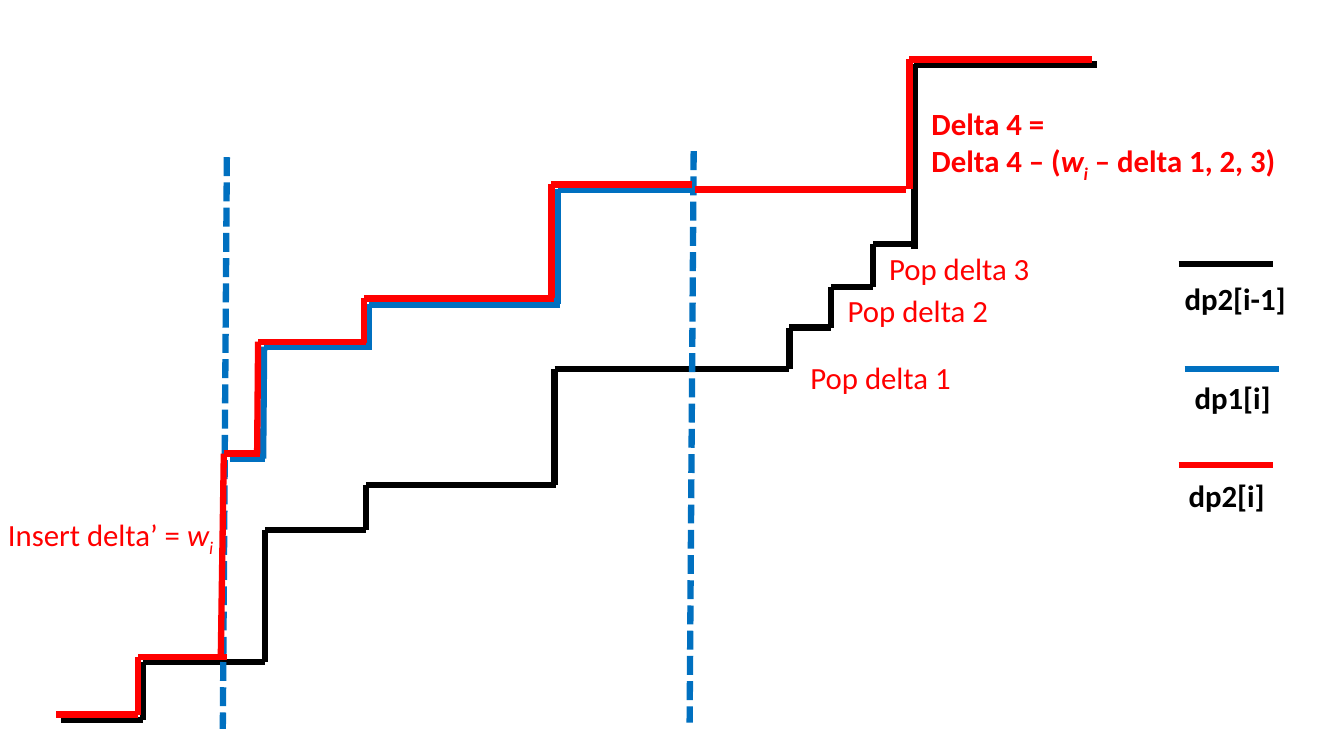
from itertools import pairwise

from lxml import etree
from pptx import Presentation
from pptx.dml.color import RGBColor
from pptx.enum import dml, shapes, text
from pptx.oxml.ns import qn
from pptx.util import Inches, Pt

BLACK = RGBColor(0x00, 0x00, 0x00)
BLUE = RGBColor(0x00, 0x70, 0xC0)
RED = RGBColor(0xFF, 0x00, 0x00)

deck = Presentation()
deck.slide_width, deck.slide_height = Inches(13.33), Inches(7.5)
page = deck.slides.add_slide(deck.slide_layouts[6])


def add_path(points, color, dashed=False):
    """Join each point to the next with a thick straight line."""
    for start, end in pairwise(points):
        line = page.shapes.add_connector(
            shapes.MSO_CONNECTOR.STRAIGHT, *map(Inches, start + end))
        line.line.color.rgb = color
        line.line.width = Pt(4.5)
        if dashed:
            line.line.dash_style = dml.MSO_LINE.SQUARE_DOT
        etree.SubElement(line._element.spPr, qn("a:effectLst"))


def add_label(left, top, width, height, lines, color, bold=False, wrap=False):
    """Place lines of (text, style) runs; style is "", "italic" or "sub"."""
    box = page.shapes.add_textbox(*map(Inches, (left, top, width, height)))
    frame = box.text_frame
    frame.word_wrap = wrap
    frame.auto_size = text.MSO_AUTO_SIZE.SHAPE_TO_FIT_TEXT
    for index, runs in enumerate(lines):
        para = frame.add_paragraph() if index else frame.paragraphs[0]
        for words, style in runs:
            span = para.add_run()
            span.text = words
            span.font.name = "Calibri"
            span.font.size = Pt(22)
            span.font.color.rgb = color
            span.font.bold = bold
            span.font.italic = style != ""
            if style == "sub":
                span._r.get_or_add_rPr().set("baseline", "-25000")


# Staircases, back to front
dp2_previous = [
    [(0.61, 7.14), (1.42, 7.14), (1.42, 6.57), (2.63, 6.57), (2.63, 5.26),
     (3.63, 5.26), (3.63, 4.81), (5.51, 4.81)],
    [(5.5, 4.81), (5.5, 3.66), (7.83, 3.66), (7.83, 3.25), (8.24, 3.25),
     (8.24, 2.85), (8.66, 2.85), (8.66, 2.42), (9.07, 2.42)],
    [(9.07, 2.47), (9.07, 0.64), (10.88, 0.64)],
]
dp1_current = [
    [(2.28, 4.55), (2.63, 4.55)],
    [(2.61, 4.55), (2.62, 3.44), (3.69, 3.44)],
    [(3.66, 3.46), (3.66, 3.02), (5.55, 3.02)],
    [(5.53, 3.02), (5.53, 1.88), (6.91, 1.88)],
]
dp2_current = [
    [(0.56, 7.09), (1.37, 7.09), (1.37, 6.52), (2.25, 6.52)],
    [(2.19, 6.52), (2.22, 4.5), (2.58, 4.5)],
    [(2.55, 4.5), (2.56, 3.39), (3.63, 3.39)],
    [(3.61, 3.4), (3.61, 2.96), (5.49, 2.96)],
    [(5.47, 2.96), (5.47, 1.83), (6.86, 1.83)],
    [(6.89, 1.88), (8.99, 1.88)],
    [(9.02, 1.88), (9.02, 0.59), (10.83, 0.59)],
]
for path in dp2_previous:
    add_path(path, BLACK)
for path in dp1_current:
    add_path(path, BLUE)
for x, y in [(2.25, 1.56), (6.88, 1.5)]:
    add_path([(x, y), (x - 0.04, y + 5.67)], BLUE, dashed=True)
for path in dp2_current:
    add_path(path, RED)

# Legend
legend = [
    ("dp2[i-1]", BLACK, 11.69, 2.62, 11.65, 2.73, 1.21),
    ("dp1[i]", BLUE, 11.75, 3.66, 11.75, 3.71, 0.96),
    ("dp2[i]", RED, 11.69, 4.61, 11.69, 4.68, 0.96),
]
for name, color, x, y, left, top, width in legend:
    add_path([(x, y), (x + 0.94, y)], color)
    add_label(left, top, width, 0.47, [[(name, "")]], BLACK, bold=True)

# Notes on the steps
for number, (left, top) in enumerate([(7.94, 3.51), (8.31, 2.85), (8.72, 2.43)], 1):
    add_label(left, top, 1.64, 0.47, [[(f"Pop delta {number}", "")]], RED)
add_label(9.14, 0.99, 3.78, 0.84, [
    [("Delta 4 =", "")],
    [("Delta 4 – (", ""), ("w", "italic"), ("i", "sub"), (" – delta 1, 2, 3)", "")],
], RED, bold=True)
add_label(-0.02, 5.07, 2.29, 0.47, [
    [("Insert delta’ = ", ""), ("w", "italic"), ("i", "sub")],
], RED, wrap=True)

deck.save("out.pptx")
